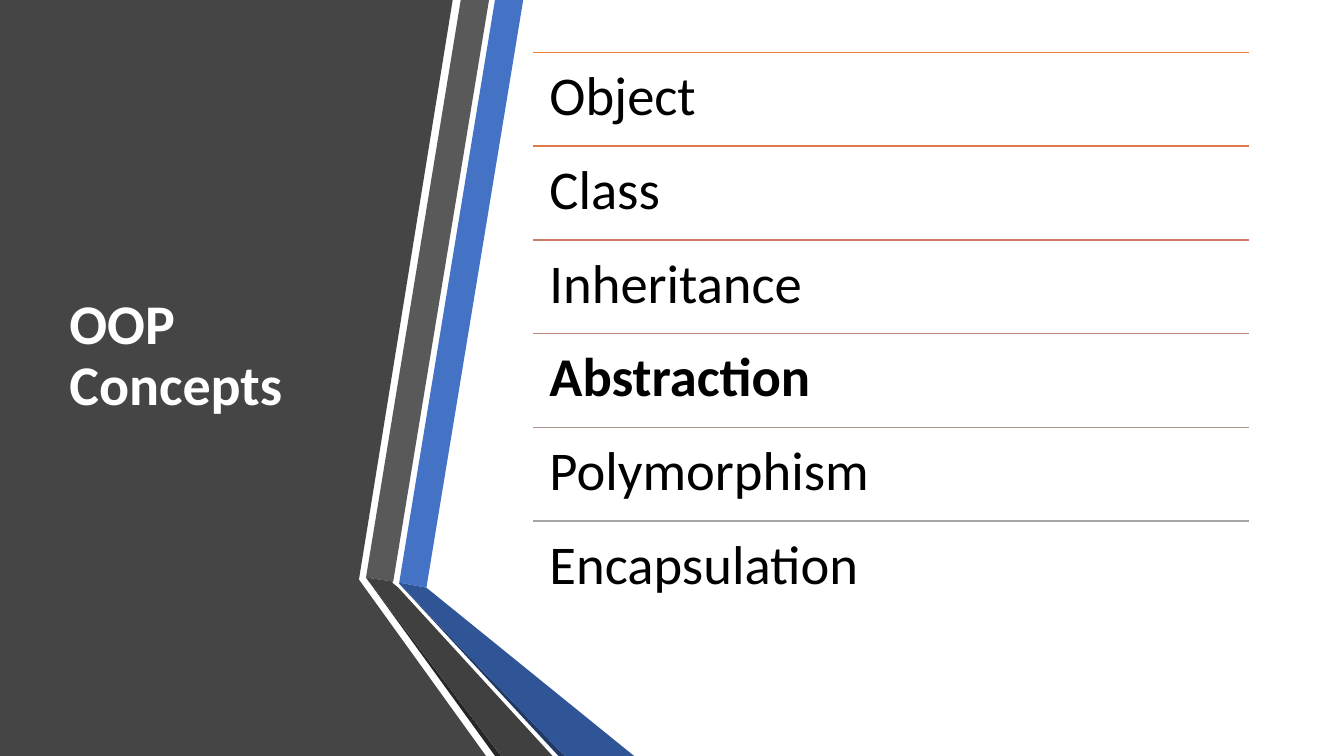
from dataclasses import dataclass

from lxml.etree import SubElement
from pptx import Presentation
from pptx.dml.color import RGBColor
from pptx.enum.shapes import MSO_CONNECTOR as Link
from pptx.enum.text import MSO_ANCHOR as Anchor
from pptx.oxml.ns import qn
from pptx.util import Inches, Pt

FONT = "Calibri"
LEFT, TOP, WIDTH, STEP = 5.29, 0.52, 7.1, 0.93


@dataclass
class Panel:
    fill: str
    points: list[tuple[float, float]]


@dataclass
class Topic:
    text: str
    line: str
    bold: bool = False


# Side art, from back to front
PANELS = [
    Panel("454545", [(0, 0), (4.49, 0), (3.56, 5.75), (4.82, 7.5), (0, 7.5)]),
    Panel("4472C4", [(3.96, 5.78), (4.23, 5.83), (5.19, 0), (4.91, 0)]),
    Panel("595959", [(4.85, 0), (4.57, 0), (3.63, 5.73), (3.9, 5.77)]),
    Panel("262626", [(3.63, 5.73), (4.91, 7.5), (4.97, 7.5)]),
    Panel("203864", [(3.96, 5.79), (5.54, 7.5), (5.6, 7.5)]),
    Panel("2F5597", [(3.96, 5.79), (5.6, 7.5), (6.29, 7.5), (4.23, 5.83),
                     (3.96, 5.78)]),
    Panel("404040", [(5.48, 7.5), (3.95, 5.83), (3.89, 5.78), (3.9, 5.77),
                     (3.63, 5.73), (4.97, 7.5)]),
]

TOPICS = [
    Topic("Object", "ED7D31"),
    Topic("Class", "DC7A4B"),
    Topic("Inheritance", "CC7D64"),
    Topic("Abstraction", "BD867B", bold=True),
    Topic("Polymorphism", "B09391"),
    Topic("Encapsulation", "A5A5A5"),
]


def paint(color, code: str) -> None:
    color.rgb = RGBColor.from_string(code)


def add_panel(slide, panel: Panel) -> None:
    first, *rest = [(Inches(x), Inches(y)) for x, y in panel.points]
    pen = slide.shapes.build_freeform(*first)
    pen.add_line_segments(rest, close=True)
    shape = pen.convert_to_shape()
    shape.shadow.inherit = False
    shape.fill.solid()
    paint(shape.fill.fore_color, panel.fill)
    shape.line.fill.background()


def add_rule(slide, y: float, color: str) -> None:
    rule = slide.shapes.add_connector(
        Link.STRAIGHT, Inches(LEFT), Inches(y), Inches(LEFT + WIDTH), Inches(y))
    rule.line.width = Pt(1)
    paint(rule.line.color, color)
    SubElement(rule._element.spPr, qn("a:effectLst"))


def add_text(slide, text: str, *, box: tuple[float, float, float, float],
             size: float, color: str = "000000", bold: bool = False,
             inset: tuple[float, float] = (0.16, 0.16),
             anchor: Anchor = Anchor.TOP) -> None:
    frame = slide.shapes.add_textbox(*map(Inches, box)).text_frame
    frame.word_wrap = True
    frame.vertical_anchor = anchor
    frame.margin_left = frame.margin_right = Inches(inset[0])
    frame.margin_top = frame.margin_bottom = Inches(inset[1])
    para = frame.paragraphs[0]
    para.line_spacing = 0.9
    run = para.add_run()
    run.text = text
    run.font.name = FONT
    run.font.size = Pt(size)
    run.font.bold = bold
    paint(run.font.color, color)


def main() -> None:
    deck = Presentation()
    deck.slide_width, deck.slide_height = Inches(13.33), Inches(7.5)
    slide = deck.slides.add_slide(deck.slide_layouts[6])

    for panel in PANELS:
        add_panel(slide, panel)

    # Title
    add_text(slide, "OOP Concepts", box=(0.59, 0.75, 3.04, 5.58), size=40,
             color="FFFFFF", bold=True, inset=(0.1, 0.05),
             anchor=Anchor.MIDDLE)

    # Ruled list of topics
    for i, topic in enumerate(TOPICS):
        y = TOP + i * STEP
        add_rule(slide, y, topic.line)
        add_text(slide, topic.text, box=(LEFT, y, WIDTH, STEP), size=39,
                 bold=topic.bold)

    deck.save("out.pptx")


if __name__ == "__main__":
    main()
